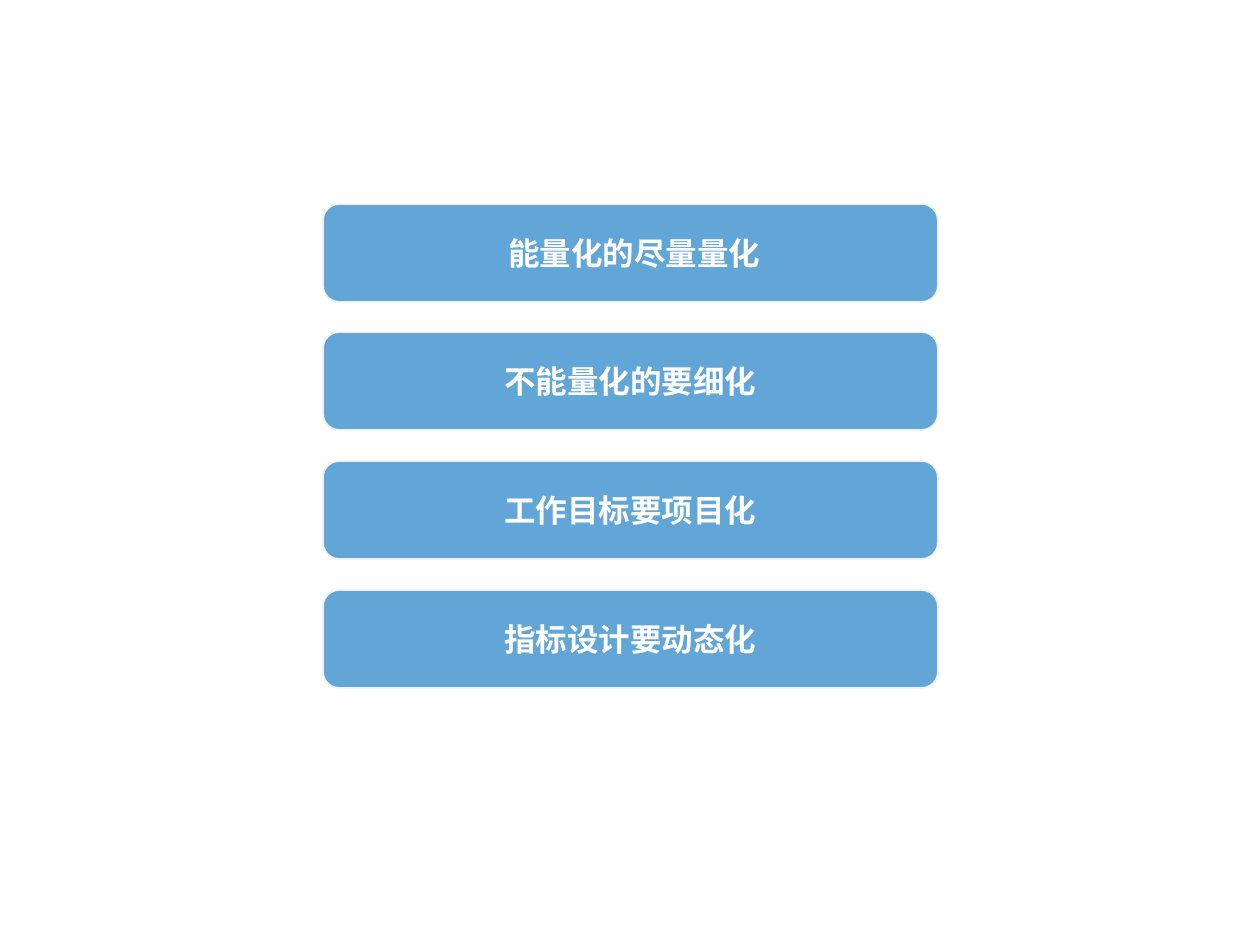
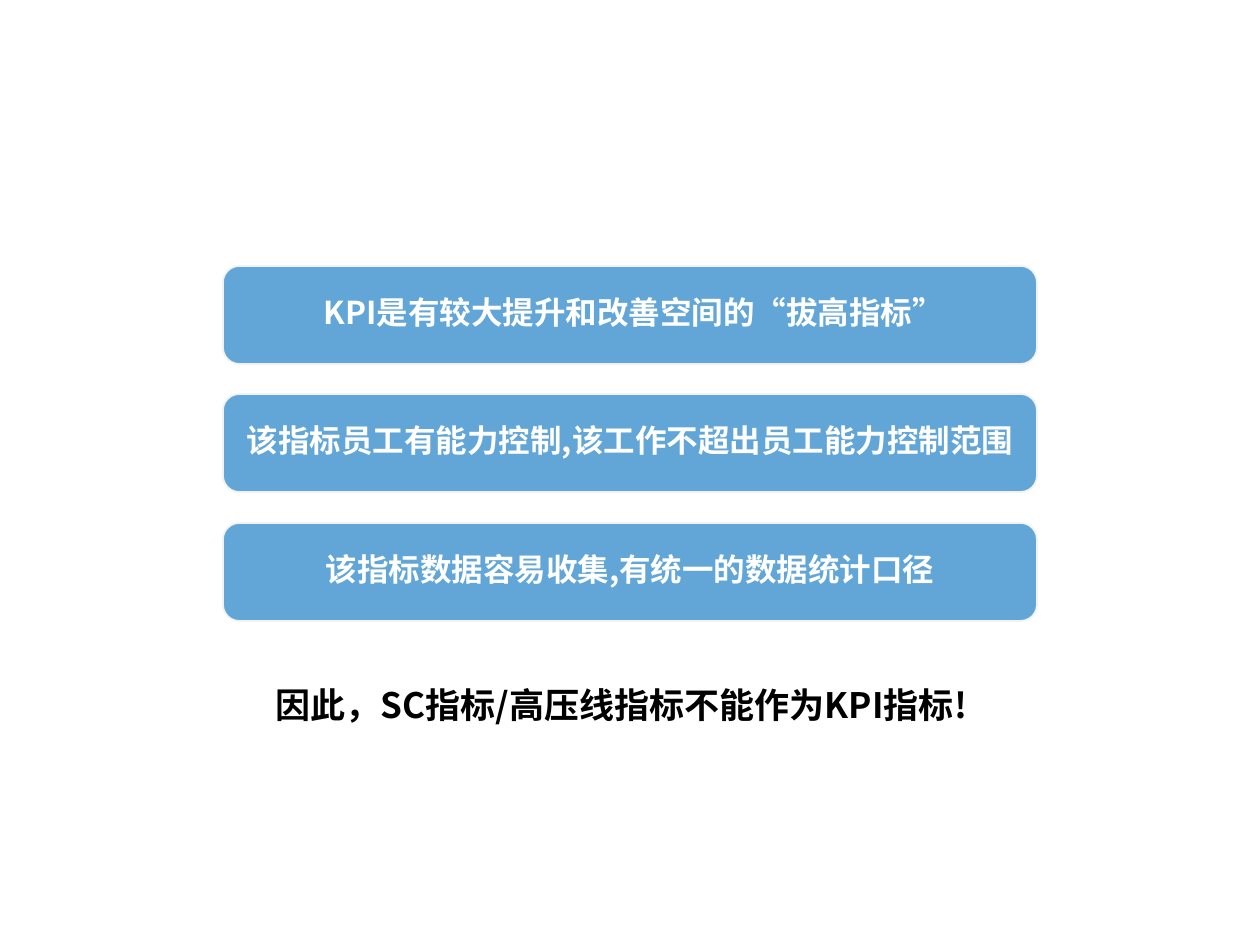
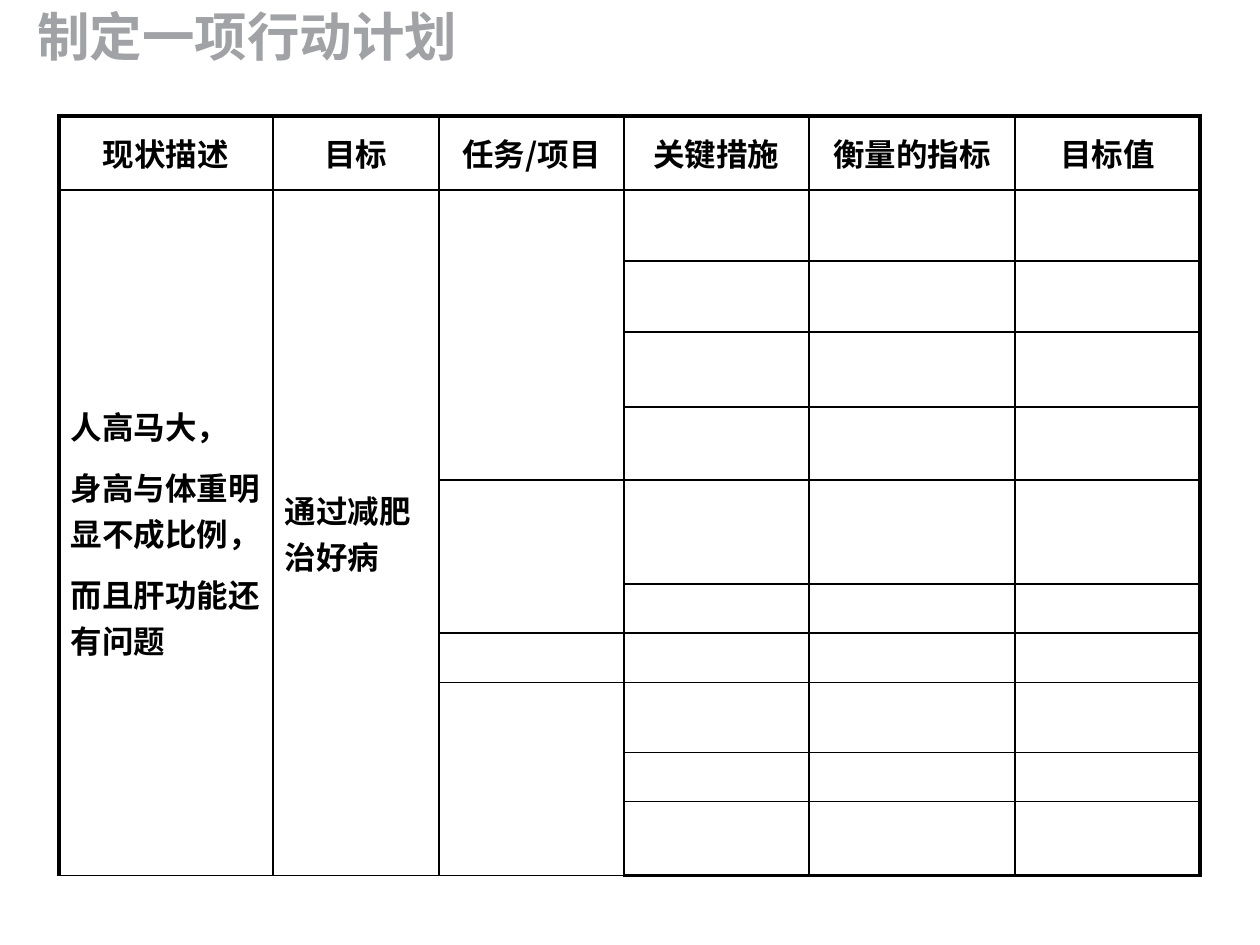
from dataclasses import dataclass
from lxml.etree import SubElement
from pptx import Presentation
from pptx.dml.color import RGBColor
from pptx.enum.shapes import MSO_SHAPE as Shape
from pptx.enum.text import MSO_ANCHOR as Anchor, PP_ALIGN as Align
from pptx.oxml.ns import qn
from pptx.util import Emu, Pt

PX_PER_INCH = 126
FONT = "Noto Sans CJK SC"
COLORS = {
    "bar": "0070C0",
    "bar_edge": "F2F2F2",
    "white": "FFFFFF",
    "black": "000000",
    "title": "A1A2A5",
}
BAR_HEIGHT = 98
BAR_OPACITY = 62
TIGHT = 0.83


@dataclass(frozen=True)
class BarStack:
    left: int
    width: int
    first_top: int
    last_top: int
    labels: tuple[str, ...]
    line_spacing: float | None = None


@dataclass(frozen=True)
class Caption:
    left: int
    top: int
    width: int
    height: int
    text: str
    size: int
    color: str
    wrap: bool


@dataclass(frozen=True)
class Merge:
    column: int
    first_row: int
    last_row: int


PRINCIPLES = BarStack(323, 615, 204, 590, (
    " 能量化的尽量量化",
    "不能量化的要细化",
    "工作目标要项目化",
    "指标设计要动态化",
))
KPI_CRITERIA = BarStack(223, 814, 266, 523, (
    " KPI是有较大提升和改善空间的“拔高指标”",
    "该指标员工有能力控制,该工作不超出员工能力控制范围",
    "该指标数据容易收集,有统一的数据统计口径",
), TIGHT)
CONCLUSION = Caption(263, 684, 725, 55, "因此，SC指标/高压线指标不能作为KPI指标!", 20, "black", True)
PLAN_TITLE = Caption(25, 9, 447, 76, "制定一项行动计划", 30, "title", False)

PLAN_LEFT, PLAN_TOP = 59, 116
PLAN_COLUMNS = (214, 166, 185, 185, 206, 185)
PLAN_ROWS = (74, 71, 71, 75, 73, 104, 49, 50, 70, 49, 74)
PLAN_HEADERS = ("现状描述", "目标", "任务/项目", "关键措施", "衡量的指标", "目标值")
PLAN_SITUATION = "人高马大，\n身高与体重明显不成比例，\n而且肝功能还有问题"
PLAN_GOAL = "通过减肥治好病"
PLAN_MERGES = (Merge(0, 1, 10), Merge(1, 1, 10), Merge(2, 1, 4), Merge(2, 5, 6), Merge(2, 8, 10))


def px(length: int) -> Emu:
    return Emu(round(length * 914400 / PX_PER_INCH))


def rgb(name: str) -> RGBColor:
    return RGBColor.from_string(COLORS[name])


def write_text(frame, text: str, *, size: int = 18, color: str = "black", align=Align.LEFT,
               line_spacing: float | None = None, gap: int = 9) -> None:
    lines = text.split("\n")
    for index, line in enumerate(lines):
        paragraph = frame.add_paragraph() if index else frame.paragraphs[0]
        paragraph.alignment = align
        paragraph.line_spacing = line_spacing
        if index < len(lines) - 1:
            paragraph.space_after = Pt(gap)
        run = paragraph.add_run()
        run.text = line
        run.font.size = Pt(size)
        run.font.bold = True
        run.font.name = FONT
        run.font.color.rgb = rgb(color)
        SubElement(run.font._element, qn("a:ea"), typeface=FONT)


def set_opacity(shape, percent: int) -> None:
    color = shape.element.spPr.find(qn("a:solidFill")).find(qn("a:srgbClr"))
    SubElement(color, qn("a:alpha"), val=str(percent * 1000))


def draw_stack(slide, stack: BarStack) -> None:
    travel = stack.last_top - stack.first_top
    for index, label in enumerate(stack.labels):
        top = stack.first_top + travel * index // (len(stack.labels) - 1)
        shape = slide.shapes.add_shape(
            Shape.ROUNDED_RECTANGLE, px(stack.left), px(top), px(stack.width), px(BAR_HEIGHT))
        shape.shadow.inherit = False
        shape.fill.solid()
        shape.fill.fore_color.rgb = rgb("bar")
        set_opacity(shape, BAR_OPACITY)
        shape.line.color.rgb = rgb("bar_edge")
        shape.line.width = Pt(1)
        shape.text_frame.word_wrap = True
        shape.text_frame.vertical_anchor = Anchor.MIDDLE
        write_text(shape.text_frame, label, color="white", align=Align.CENTER,
                   line_spacing=stack.line_spacing)


def draw_caption(slide, caption: Caption) -> None:
    box = slide.shapes.add_textbox(
        px(caption.left), px(caption.top), px(caption.width), px(caption.height))
    box.text_frame.word_wrap = caption.wrap
    write_text(box.text_frame, caption.text, size=caption.size, color=caption.color,
               line_spacing=TIGHT)


def set_borders(cell, outer_edges: dict[str, bool]) -> None:
    properties = cell._tc.get_or_add_tcPr()
    for side, is_outer in outer_edges.items():
        width = Pt(2.25 if is_outer else 1)
        line = SubElement(properties, qn(f"a:ln{side}"), w=str(width))
        fill = SubElement(line, qn("a:solidFill"))
        SubElement(fill, qn("a:srgbClr"), val=COLORS["black"])


def draw_plan(slide) -> None:
    row_count, column_count = len(PLAN_ROWS), len(PLAN_COLUMNS)
    table = slide.shapes.add_table(
        row_count, column_count, px(PLAN_LEFT), px(PLAN_TOP),
        px(sum(PLAN_COLUMNS)), px(sum(PLAN_ROWS))).table
    table.first_row = False
    table.horz_banding = False
    for column, width in zip(table.columns, PLAN_COLUMNS):
        column.width = px(width)
    for row, height in zip(table.rows, PLAN_ROWS):
        row.height = px(height)
    for row_index in range(row_count):
        for column_index in range(column_count):
            cell = table.cell(row_index, column_index)
            set_borders(cell, {
                "L": column_index == 0,
                "R": column_index == column_count - 1,
                "T": row_index == 0,
                "B": row_index == row_count - 1,
            })
            cell.fill.solid()
            cell.fill.fore_color.rgb = rgb("white")
            cell.vertical_anchor = Anchor.MIDDLE
            cell.margin_left = cell.margin_right = px(12)
            cell.margin_top = cell.margin_bottom = px(5)
    for merge in PLAN_MERGES:
        table.cell(merge.first_row, merge.column).merge(table.cell(merge.last_row, merge.column))
    for column_index, header in enumerate(PLAN_HEADERS):
        write_text(table.cell(0, column_index).text_frame, header, align=Align.CENTER)
    for column_index, text in enumerate((PLAN_SITUATION, PLAN_GOAL)):
        write_text(table.cell(1, column_index).text_frame, text)


def main() -> None:
    presentation = Presentation()
    presentation.slide_width, presentation.slide_height = px(1260), px(945)
    blank = presentation.slide_layouts[6]
    principles, criteria, plan = (presentation.slides.add_slide(blank) for _ in range(3))
    draw_stack(principles, PRINCIPLES)
    draw_stack(criteria, KPI_CRITERIA)
    draw_caption(criteria, CONCLUSION)
    draw_plan(plan)
    draw_caption(plan, PLAN_TITLE)
    presentation.save("out.pptx")


if __name__ == "__main__":
    main()
